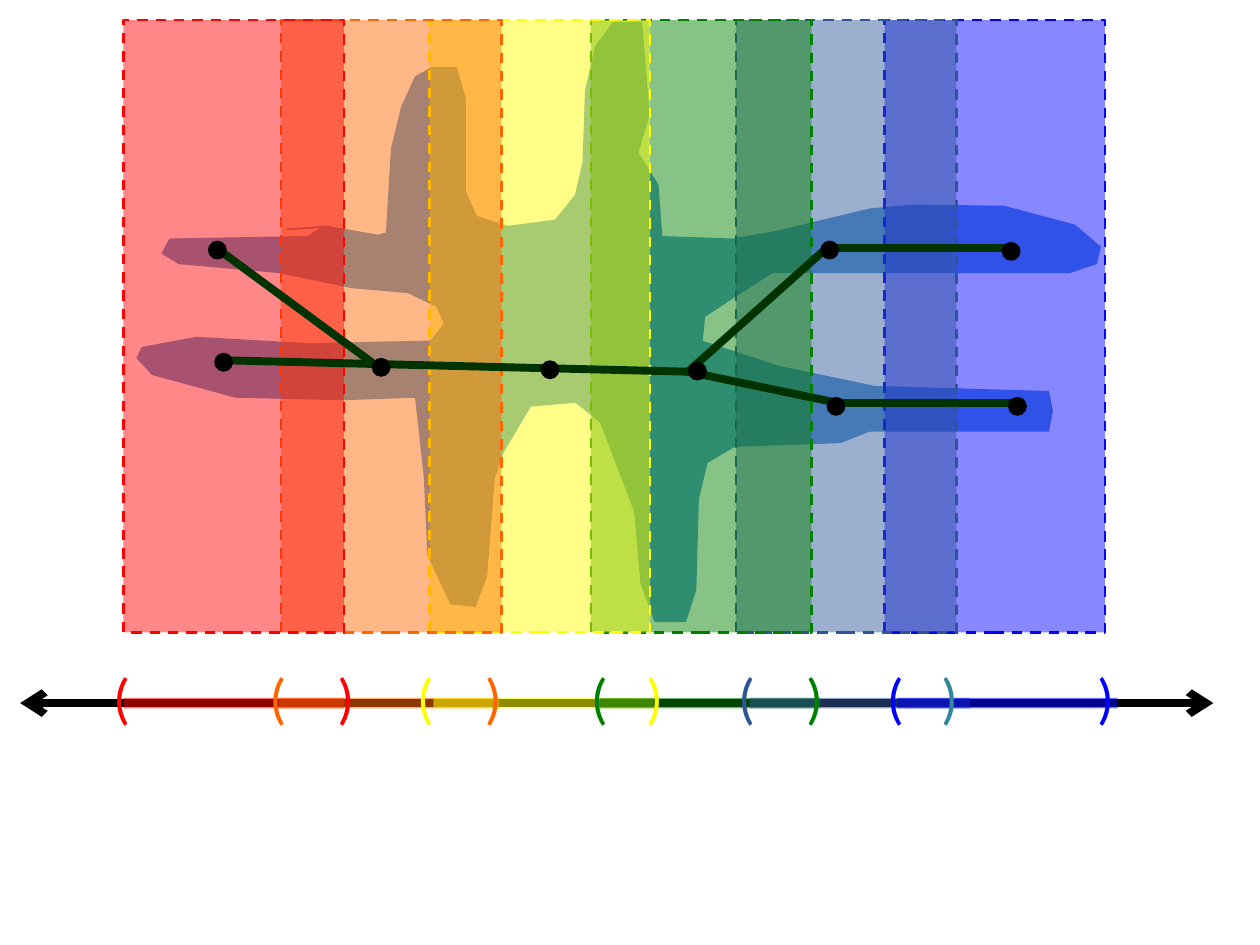
from pptx import Presentation
from pptx.dml.color import RGBColor
from pptx.enum.dml import MSO_LINE
from pptx.enum.shapes import MSO_CONNECTOR, MSO_SHAPE
from pptx.oxml.ns import qn
from pptx.util import Pt
from lxml.etree import SubElement

PX = 9144  # 100 px to the inch
SLIDE_WIDTH, SLIDE_HEIGHT = 1000, 750

THEME = {
    "font": "Calibri", "bracket_size": 32,
    "red": "FF0000", "orange": "FF6600", "yellow": "FFFF00",
    "green": "008000", "slate": "2F5597", "blue": "0000FF", "teal": "31859C",
    "space": "5B9BD5", "graph": "003300", "ink": "000000",
}

# Cover element: colour, left of its band, left of its interval on the axis
COVER = [
    ("red", 98, 98), ("orange", 223, 221), ("yellow", 341, 344),
    ("green", 469, 476), ("slate", 584, 595), ("blue", 702, 712),
]
BAND_TOP, BAND_WIDTH, BAND_HEIGHT = 16, 175, 486
AXIS_Y, AXIS_START, AXIS_END = 558, 16, 963
BRACKETS = [
    ("(", "red", 90), ("(", "orange", 214), (")", "red", 268),
    ("(", "yellow", 331), (")", "orange", 385), ("(", "green", 469),
    (")", "yellow", 513), ("(", "slate", 586), (")", "green", 640),
    ("(", "blue", 704), (")", "teal", 747), (")", "blue", 871),
]
BRACKET_BOX = (70, 521, 1098, 64)
BRACKET_INSET = 10

EDGES = [
    (172, 197, 297, 289), (180, 286, 546, 295), (546, 295, 666, 320),
    (546, 295, 656, 197), (656, 197, 800, 197), (661, 320, 810, 320),
]
NODE_SIZE = 15
NODES = [
    (165, 191), (170, 280), (295, 284), (429, 286), (546, 287),
    (651, 191), (656, 315), (795, 192), (800, 315),
]

SPACE_OUTLINE = [
    (228, 182), (260, 180), (300, 187), (307, 185), (311, 118), (319, 85),
    (330, 61), (343, 54), (362, 54), (369, 78), (369, 152), (378, 172),
    (403, 180), (441, 175), (457, 155), (463, 129), (465, 72), (473, 37),
    (487, 18), (509, 18), (515, 91), (506, 121), (522, 147), (525, 188),
    (581, 190), (616, 184), (691, 166), (726, 163), (797, 164), (853, 179),
    (873, 196), (870, 209), (849, 216), (613, 216), (591, 230), (559, 251),
    (557, 271), (618, 291), (694, 307), (832, 311), (835, 326), (832, 342),
    (690, 342), (667, 351), (583, 354), (561, 367), (554, 396), (552, 468),
    (544, 493), (520, 493), (509, 463), (504, 406), (477, 335), (457, 319),
    (421, 322), (399, 359), (392, 380), (386, 457), (377, 481), (358, 479),
    (340, 441), (337, 378), (330, 315), (272, 317), (187, 315), (121, 297),
    (109, 284), (113, 276), (156, 268), (244, 273), (342, 271), (353, 257),
    (347, 243), (324, 232), (279, 228), (221, 216), (142, 209), (129, 201),
    (135, 190), (244, 188), (257, 180),
]


def color(name):
    return RGBColor.from_string(THEME[name])


def set_opacity(element, percent):
    """Make every solid colour below the element partly see-through."""
    for tint in element.iter(qn("a:srgbClr")):
        SubElement(tint, qn("a:alpha"), val=str(percent * 1000))


def add_line(page, start, end, name, width, opacity=None, arrows=False):
    ends = [length * PX for length in (*start, *end)]
    line = page.shapes.add_connector(MSO_CONNECTOR.STRAIGHT, *ends)
    line.line.color.rgb = color(name)
    line.line.width = Pt(width)
    outline = line._element.spPr.find(qn("a:ln"))
    if opacity:
        set_opacity(outline, opacity)
    if arrows:
        for tag in ("a:headEnd", "a:tailEnd"):
            SubElement(outline, qn(tag), type="arrow")
    SubElement(line._element.spPr, qn("a:effectLst"))


def paint(shape, fill, line=None, width=1):
    shape.shadow.inherit = False
    shape.fill.solid()
    shape.fill.fore_color.rgb = color(fill)
    if line:
        shape.line.color.rgb = color(line)
        shape.line.width = Pt(width)
    else:
        shape.line.fill.background()


def add_space(page):
    builder = page.shapes.build_freeform(*SPACE_OUTLINE[0], scale=PX)
    builder.add_line_segments(SPACE_OUTLINE[1:], close=True)
    paint(builder.convert_to_shape(), "space", line="space")


def add_bands(page):
    group = page.shapes.add_group_shape()
    for name, left, _ in reversed(COVER):
        bounds = (left, BAND_TOP, BAND_WIDTH, BAND_HEIGHT)
        band = group.shapes.add_shape(
            MSO_SHAPE.RECTANGLE, *(length * PX for length in bounds))
        paint(band, name)
        set_opacity(band._element.spPr, 47)
        band.line.color.rgb = color(name)
        band.line.width = Pt(1.5)
        band.line.dash_style = MSO_LINE.DASH


def add_span(para, text, size, name):
    span = para.add_run()
    span.text = text
    span.font.name = THEME["font"]
    span.font.size = Pt(size)
    span.font.color.rgb = color(name)


def add_brackets(page):
    box = page.shapes.add_textbox(*(length * PX for length in BRACKET_BOX))
    frame = box.text_frame
    frame.word_wrap = False
    frame.margin_left = BRACKET_INSET * PX
    para = frame.paragraphs[0]
    tabs = SubElement(para._p.get_or_add_pPr(), qn("a:tabLst"))
    for text, name, left in BRACKETS:
        position = (left - BRACKET_BOX[0] - BRACKET_INSET) * PX
        SubElement(tabs, qn("a:tab"), pos=str(position), algn="l")
        add_span(para, "\t" + text, size=THEME["bracket_size"], name=name)


def add_nodes(page):
    group = page.shapes.add_group_shape()
    for left, top in NODES:
        bounds = (left, top, NODE_SIZE, NODE_SIZE)
        node = group.shapes.add_shape(
            MSO_SHAPE.OVAL, *(length * PX for length in bounds))
        paint(node, "ink")


def main():
    deck = Presentation()
    deck.slide_width, deck.slide_height = SLIDE_WIDTH * PX, SLIDE_HEIGHT * PX
    page = deck.slides.add_slide(deck.slide_layouts[6])
    add_space(page)
    add_bands(page)
    add_line(page, (AXIS_START, AXIS_Y), (AXIS_END, AXIS_Y), "ink", 4.5, arrows=True)
    for name, _, left in COVER:
        add_line(page, (left, AXIS_Y), (left + BAND_WIDTH, AXIS_Y), name, 6, opacity=55)
    add_brackets(page)
    for edge in EDGES:
        add_line(page, edge[:2], edge[2:], "graph", 4.5)
    add_nodes(page)
    deck.save("out.pptx")


if __name__ == "__main__":
    main()
